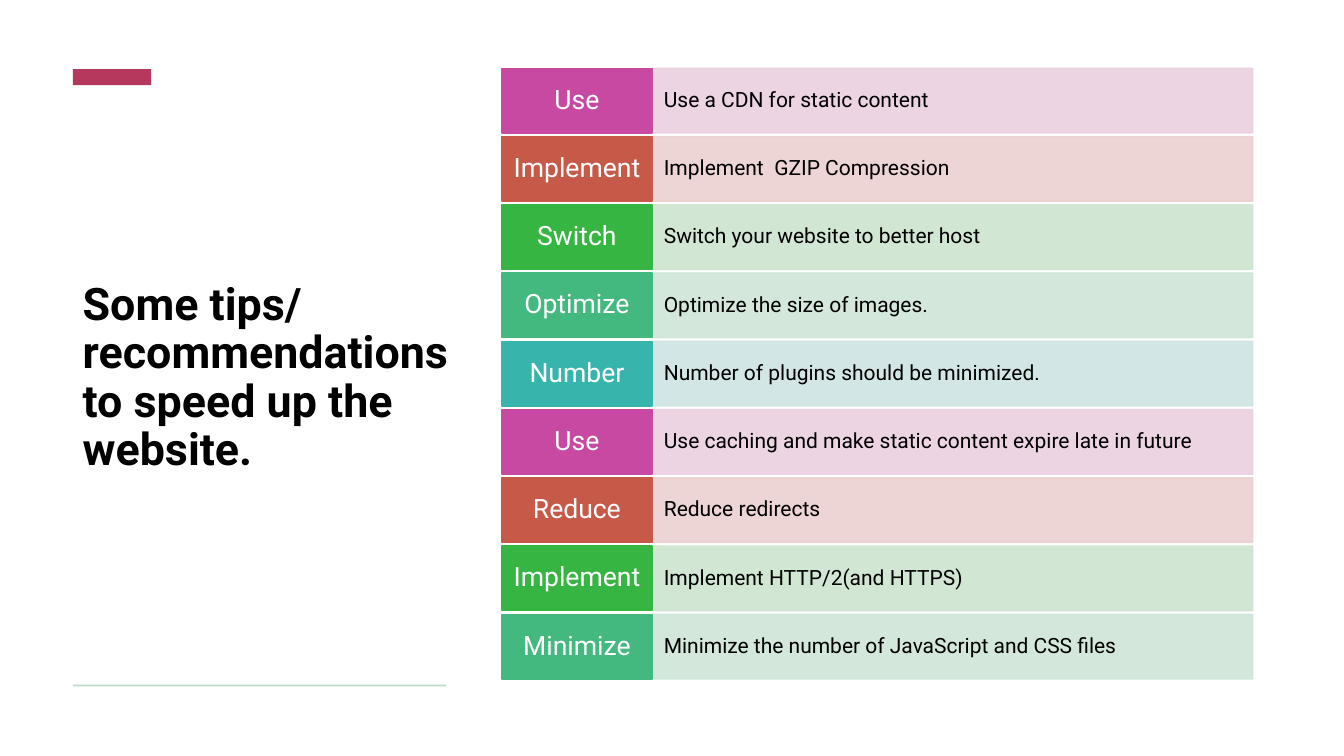
from lxml.etree import SubElement
from pptx import Presentation
from pptx.dml.color import RGBColor
from pptx.enum.shapes import MSO_SHAPE
from pptx.enum.text import MSO_ANCHOR, PP_ALIGN
from pptx.oxml.ns import qn
from pptx.util import Cm, Pt

FONT = "Roboto"
HUES = {
    "black": "000000", "white": "FFFFFF", "accent": "B6395D", "rule": "BDDBC4",
    "pink": "C749A2", "red": "C75949", "green": "37B542",
    "mint": "43B87F", "teal": "37B5AC",
    "pale pink": "EBD0E0", "pale red": "EBD1D0", "pale green": "CEE5CF",
    "pale mint": "CFE6D8", "pale teal": "CEE5E3",
}
CYCLE = ["pink", "red", "green", "mint", "teal"]
TIPS = [
    ("Use", "Use a CDN for static content"),
    ("Implement", "Implement  GZIP Compression"),
    ("Switch", "Switch your website to better host"),
    ("Optimize", "Optimize the size of images."),
    ("Number", "Number of plugins should be minimized."),
    ("Use", "Use caching and make static content expire late in future"),
    ("Reduce", "Reduce redirects"),
    ("Implement", "Implement HTTP/2(and HTTPS)"),
    ("Minimize", "Minimize the number of JavaScript and CSS files"),
]

# Grid of tips, in centimetres
TOP, PITCH, HIGH = 1.72, 1.72, 1.63
LEFT, SPLIT, RIGHT = 12.65, 16.43, 31.57


def rgb(hue):
    return RGBColor.from_string(HUES[hue])


def write(frame, text, size, hue, align=PP_ALIGN.LEFT, bold=False):
    frame.word_wrap = True
    frame.vertical_anchor = MSO_ANCHOR.MIDDLE
    para = frame.paragraphs[0]
    para.alignment = align
    para.line_spacing = 0.9
    run = para.add_run()
    run.text = text
    font = run.font
    font.name, font.size, font.bold = FONT, Pt(size), bold
    font.color.rgb = rgb(hue)


def fade(fill, share):
    """Set the opacity of a solid fill, in percent."""
    color = fill._xPr.find(qn("a:solidFill"))[0]
    SubElement(color, qn("a:alpha")).set("val", str(share * 1000))


def block(slide, left, top, width, height, hue):
    box = slide.shapes.add_shape(
        MSO_SHAPE.RECTANGLE, Cm(left), Cm(top), Cm(width), Cm(height))
    box.shadow.inherit = False
    box.fill.solid()
    box.fill.fore_color.rgb = rgb(hue)
    box.line.fill.background()
    return box


def cell(slide, left, top, width, hue, pad):
    box = block(slide, left, top, width, HIGH, hue)
    box.line.color.rgb = rgb(hue)
    box.line.width = Pt(1)
    frame = box.text_frame
    frame.margin_left = frame.margin_right = Cm(pad)
    frame.margin_top = frame.margin_bottom = Cm(0.15)
    return box


def tip(slide, row, label, text):
    top = TOP + row * PITCH
    hue = CYCLE[row % len(CYCLE)]
    body = cell(slide, SPLIT, top, RIGHT - SPLIT, "pale " + hue, 0.3)
    fade(body.fill, 90)
    fade(body.line.fill, 90)
    write(body.text_frame, text, 15, "black")
    head = cell(slide, LEFT, top, SPLIT - LEFT, hue, 0.2)
    write(head.text_frame, label, 19, "white", PP_ALIGN.CENTER)


def title(slide, text):
    box = slide.shapes.title
    box.left, box.top = Cm(1.83), Cm(2.67)
    box.width, box.height = Cm(10.44), Cm(13.74)
    write(box.text_frame, text, 32, "black", bold=True)


def main():
    deck = Presentation()
    deck.slide_width, deck.slide_height = Cm(33.87), Cm(19.05)
    slide = deck.slides.add_slide(deck.slide_layouts[5])

    # Left side: title, accent bar and rule
    title(slide, "Some tips/ recommendations to speed up the website.")
    block(slide, 1.84, 1.74, 1.97, 0.41, "accent")
    block(slide, 1.84, 17.25, 9.4, 0.05, "rule")

    # Right side: one row for each tip
    for row, (label, text) in enumerate(TIPS):
        tip(slide, row, label, text)

    deck.save("out.pptx")


if __name__ == "__main__":
    main()
